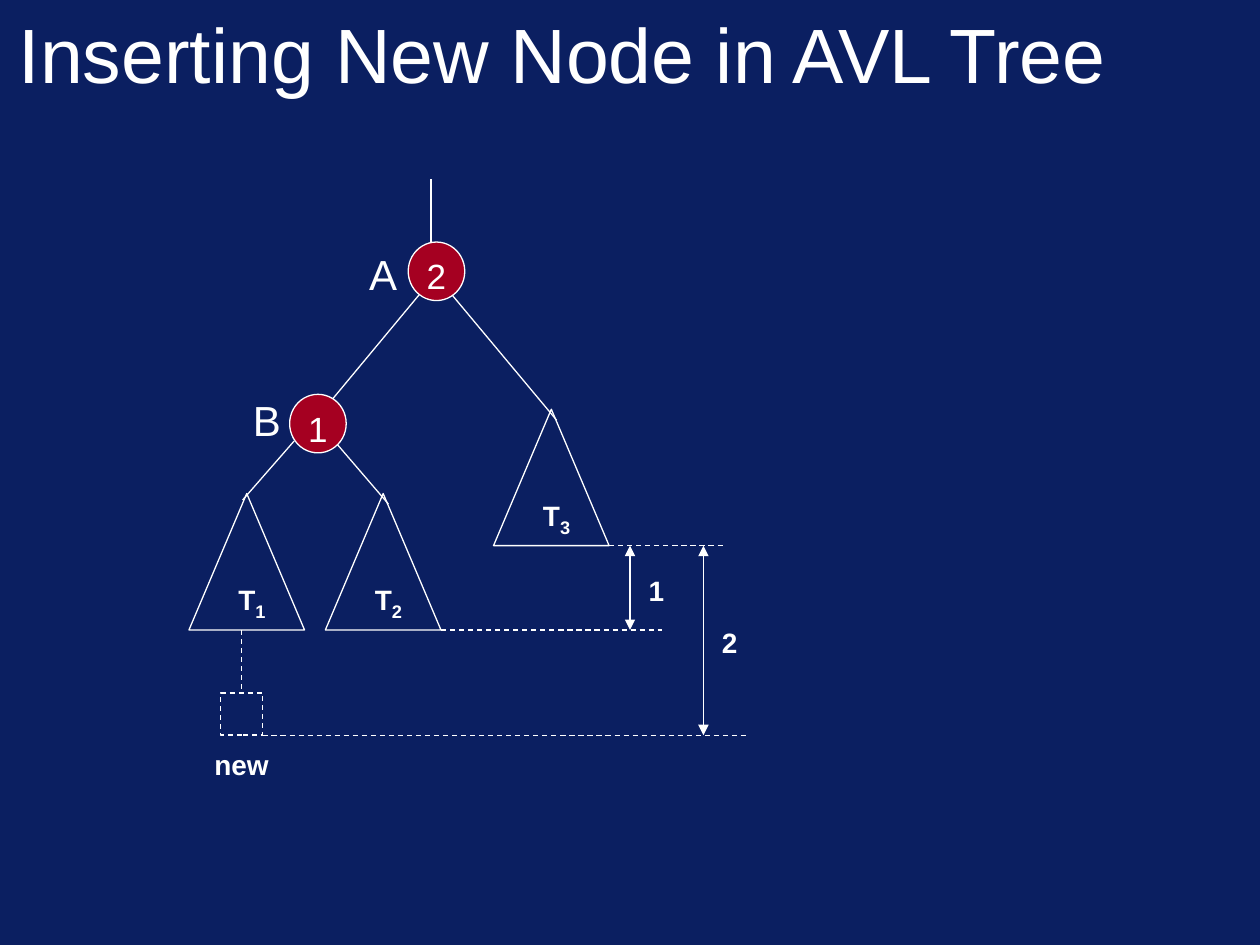
from lxml.etree import SubElement
from pptx import Presentation
from pptx.dml.color import RGBColor
from pptx.enum.dml import MSO_LINE
from pptx.enum.shapes import MSO_CONNECTOR, MSO_SHAPE
from pptx.enum.text import MSO_ANCHOR, PP_ALIGN
from pptx.oxml.ns import qn
from pptx.util import Cm, Pt

COLORS = {"back": "0B1F61", "ink": "FFFFFF", "node": "A50021"}
FONT = "Arial"

# Content, all lengths in cm
TITLE = "Inserting New Node in AVL Tree"
NODE_W, NODE_H = 1.14, 1.18
TREE_W, TREE_H = 2.33, 2.75
NODES = [("2", 8.23, 4.88), ("1", 5.84, 7.95)]  # balance, left, top
SUBTREES = [("1", 3.81, 9.95), ("3", 9.95, 8.25), ("2", 6.56, 9.95)]
NAMES = [("A", 7.19, 4.88), ("B", 4.85, 7.82)]
CAPTIONS = [("new", 4.02, 14.94, 1.7), ("1", 12.7, 11.43, 1.06), ("2", 14.18, 12.49, 1.06)]

# Levels of the subtree bottoms and of the new node
SHORT, DEEP, NEW = 11.0, 12.7, 14.82
NEW_BOX = (4.45, 13.97, 0.85, 0.85)
EDGES = [
    (8.69, 4.88, 8.69, 3.6),
    (8.46, 5.93, 6.35, 8.47),
    (9.1, 5.93, 11.22, 8.47),
    (6.8, 8.96, 7.83, 10.16),
    (5.93, 8.89, 4.89, 10.08),
]
DASHED = [
    (4.87, DEEP, 4.87, 13.97),
    (12.28, SHORT, 14.6, SHORT),
    (8.89, DEEP, 13.34, DEEP),
    (5.29, NEW, 15.03, NEW),
]
MEASURES = [(12.7, SHORT, 12.7, DEEP), (14.18, SHORT, 14.18, NEW)]


def color(name):
    return RGBColor.from_string(COLORS[name])


def style_line(line, dashed=False):
    line.color.rgb = color("ink")
    line.width = Pt(0.75)
    if dashed:
        line.dash_style = MSO_LINE.DASH


def add_run(p, text, size, bold=False):
    r = p.add_run()
    r.text = text
    r.font.name, r.font.size, r.font.bold = FONT, Pt(size), bold
    r.font.color.rgb = color("ink")
    return r


def add_line(ends, dashed=False, arrows=False):
    line = slide.shapes.add_connector(MSO_CONNECTOR.STRAIGHT, *map(Cm, ends))
    style_line(line.line, dashed)
    if arrows:
        ln = line.line._get_or_add_ln()
        for end in ("a:headEnd", "a:tailEnd"):
            SubElement(ln, qn(end), type="triangle")
    SubElement(line._element.spPr, qn("a:effectLst"))


def add_outline(kind, box, fill=None, dashed=False):
    sp = slide.shapes.add_shape(kind, *map(Cm, box))
    sp.shadow.inherit = False
    if fill:
        sp.fill.solid()
        sp.fill.fore_color.rgb = color(fill)
    else:
        sp.fill.background()
    style_line(sp.line, dashed)
    return sp


def add_label(text, box, size, bold=False, wrap=True):
    tf = slide.shapes.add_textbox(*map(Cm, box)).text_frame
    tf.word_wrap = wrap
    p = tf.paragraphs[0]
    p.alignment = PP_ALIGN.CENTER
    add_run(p, text, size, bold)
    return p


prs = Presentation()
prs.slide_width, prs.slide_height = Cm(25.4), Cm(19.05)
slide = prs.slides.add_slide(prs.slide_layouts[5])
slide.background.fill.solid()
slide.background.fill.fore_color.rgb = color("back")

# Title
title = slide.shapes.title
title.left, title.top, title.width, title.height = Cm(0.2), Cm(-0.2), Cm(22.86), Cm(2.54)
tf = title.text_frame
tf.margin_left = Cm(0.18)
tf.vertical_anchor = MSO_ANCHOR.MIDDLE
p = tf.paragraphs[0]
p.alignment = PP_ALIGN.LEFT
add_run(p, TITLE, 44)

# Tree edges, level lines and height measures
for ends in EDGES:
    add_line(ends)
for ends in DASHED:
    add_line(ends, dashed=True)
for ends in MEASURES:
    add_line(ends, arrows=True)

# Nodes with their balance; the top margin sets the digit a little low
for balance, x, y in NODES:
    sp = add_outline(MSO_SHAPE.OVAL, (x, y, NODE_W, NODE_H), fill="node")
    tf = sp.text_frame
    tf.margin_left = tf.margin_right = tf.margin_bottom = 0
    tf.margin_top = Cm(0.18)
    tf.vertical_anchor = MSO_ANCHOR.MIDDLE
    p = tf.paragraphs[0]
    p.alignment = PP_ALIGN.CENTER
    add_run(p, balance, 20)
for name, x, y in NAMES:
    add_label(name, (x, y, 1.06, 1.27), 24, wrap=False)

# Subtrees
for number, x, y in SUBTREES:
    add_outline(MSO_SHAPE.ISOSCELES_TRIANGLE, (x, y, TREE_W, TREE_H))
    p = add_label("T", (x + 0.42, y + 1.6, 1.7, 1.12), 16, bold=True)
    r = add_run(p, number, 18, bold=True)
    r._r.get_or_add_rPr().set("baseline", "-25000")

# New node and captions
add_outline(MSO_SHAPE.RECTANGLE, NEW_BOX, dashed=True)
for text, x, y, w in CAPTIONS:
    add_label(text, (x, y, w, 0.94), 16, bold=True)

prs.save("out.pptx")
